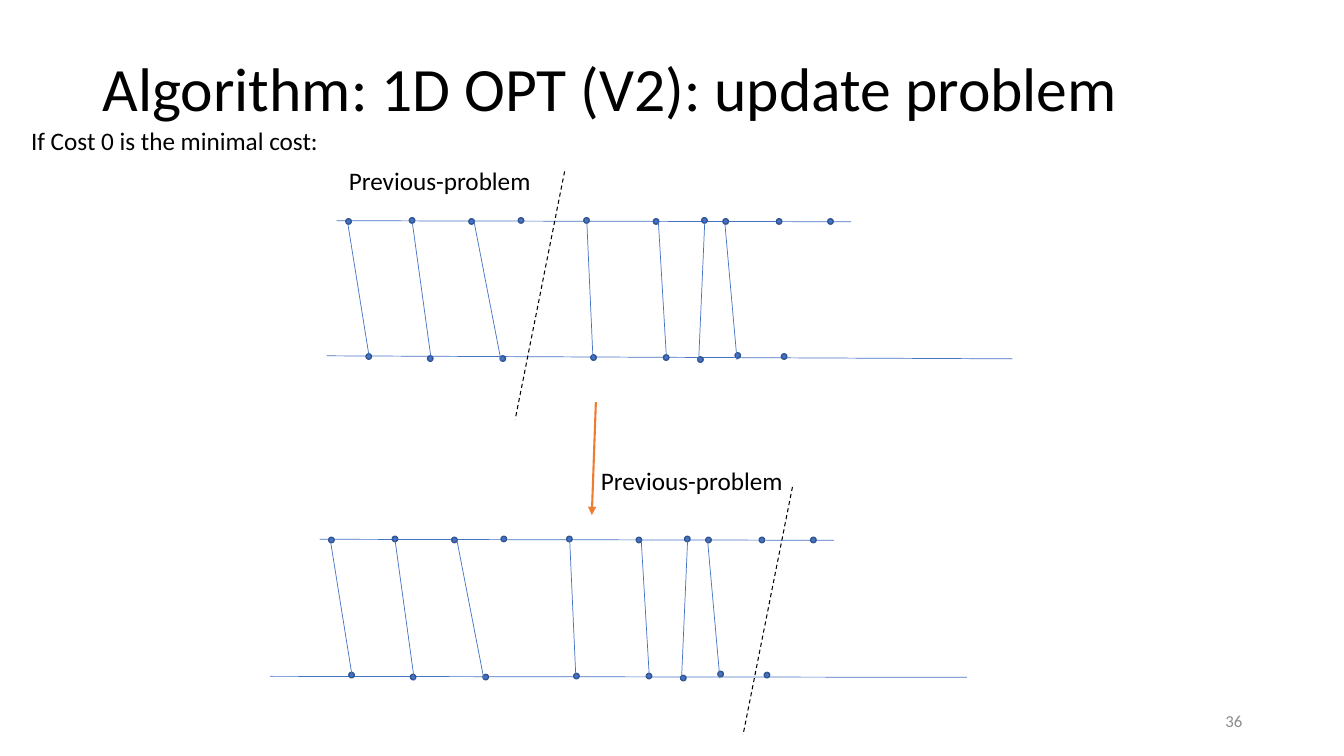
from lxml import etree
from pptx import Presentation
from pptx import util as u
from pptx.dml import color
from pptx.enum import dml, shapes, text
from pptx.oxml import ns

CELL = u.Inches(0.1)
BLUE, EDGE, ORANGE, BLACK, GREY = "4472C4", "325491", "ED7D31", "000000", "8C8C8C"
DOT_SIZE = 0.54
UPPER_DOTS = [(34.3, 21.7), (40.6, 21.6), (46.5, 21.7), (51.4, 21.6), (57.9, 21.6),
              (64.8, 21.7), (69.6, 21.6), (71.7, 21.7), (77, 21.7), (82.1, 21.7)]
LOWER_DOTS = [(36.3, 35.1), (42.4, 35.3), (49.6, 35.3), (58.6, 35.2), (65.8, 35.2),
              (69.2, 35.4), (72.9, 35), (77.5, 35.1)]
MATCHES = [((34.5, 22.2), (36.6, 35.3)), ((40.9, 22.1), (42.8, 35.9)),
           ((47, 21.9), (49.7, 35.8)), ((58.2, 21.9), (58.8, 35.3)),
           ((65.3, 22), (66.1, 35.5)), ((69.9, 22), (69.3, 35.7)),
           ((71.9, 22.2), (73.1, 35.7))]
UPPER_AXIS = ((33.4, 21.9), (84.4, 22))


def rgb(code):
    """Turn a hex string into a colour."""
    return color.RGBColor.from_string(code)


def grid(*cells):
    """Turn counts of grid cells into slide lengths."""
    return [u.Emu(round(count * CELL)) for count in cells]


def shift(point, offset):
    """Move a grid point by an offset."""
    return point[0] + offset[0], point[1] + offset[1]


def add_label(page, words, area, size, code=BLACK, inset=True, wrap=False,
              anchor=text.MSO_ANCHOR.TOP, align=text.PP_ALIGN.LEFT, spacing=1.0):
    """Write one paragraph in a text box."""
    frame = page.shapes.add_textbox(*grid(*area)).text_frame
    frame.word_wrap = wrap
    frame.vertical_anchor = anchor
    if not wrap:
        frame.auto_size = text.MSO_AUTO_SIZE.SHAPE_TO_FIT_TEXT
    if not inset:
        frame.margin_left = frame.margin_right = 0
        frame.margin_top = frame.margin_bottom = 0
    para = frame.paragraphs[0]
    para.text = words
    para.alignment = align
    para.line_spacing = spacing
    font = para.runs[0].font
    font.name, font.size = "Calibri", u.Pt(size)
    font.color.rgb = rgb(code)


def add_line(page, start, end, code=BLUE, width=0.5, dashed=False, arrow=False):
    """Draw a straight line between two grid points."""
    line = page.shapes.add_connector(
        shapes.MSO_CONNECTOR.STRAIGHT, *grid(*start, *end))
    line.line.color.rgb = rgb(code)
    line.line.width = u.Pt(width)
    if dashed:
        line.line.dash_style = dml.MSO_LINE.DASH
    if arrow:
        etree.SubElement(line.line._get_or_add_ln(), ns.qn("a:tailEnd"), type="triangle")
    etree.SubElement(line._element.spPr, ns.qn("a:effectLst"))


def add_dot(page, corner):
    """Draw a small point mark."""
    dot = page.shapes.add_shape(
        shapes.MSO_SHAPE.OVAL, *grid(*corner, DOT_SIZE, DOT_SIZE))
    dot.shadow.inherit = False
    dot.fill.solid()
    dot.fill.fore_color.rgb = rgb(BLUE)
    dot.line.color.rgb = rgb(EDGE)
    dot.line.width = u.Pt(1)


def add_matching(page, offset, lower_axis, divider):
    """Draw two point sets, their matches and the dividing line."""
    add_line(page, *(shift(point, offset) for point in UPPER_AXIS))
    add_line(page, *lower_axis)
    for corner in UPPER_DOTS + LOWER_DOTS:
        add_dot(page, shift(corner, offset))
    for match in MATCHES:
        add_line(page, *(shift(point, offset) for point in match))
    add_line(page, *divider, code=BLACK, width=0.75, dashed=True)


def main():
    """Build and save the slide."""
    deck = Presentation()
    deck.slide_width, deck.slide_height = u.Inches(13.33), u.Inches(7.5)
    page = deck.slides.add_slide(deck.slide_layouts[6])
    middle = text.MSO_ANCHOR.MIDDLE
    add_label(page, "Algorithm: 1D OPT (V2): update problem", (9.2, 4, 115, 10.1), 44,
              wrap=True, anchor=middle, spacing=0.9)
    add_label(page, "If Cost 0 is the minimal cost:", (2.1, 11.9, 31.4, 4), 18)
    add_matching(page, (0, 0), ((32.4, 35.3), (100.4, 35.6)), ((56, 17), (51.1, 41.6)))
    add_matching(page, (-1.7, 31.6), ((26.8, 67.1), (95.9, 67.2)),
                 ((78.6, 48.3), (73.7, 72.9)))
    for corner in ((34.6, 16.4), (59.6, 46.2)):
        add_label(page, "Previous-problem", (*corner, 18.2, 3), 18, inset=False)
    add_line(page, (59.1, 39.9), (58.7, 51.1), ORANGE, 1.5, arrow=True)
    add_label(page, "36", (94.2, 69.5, 30, 4), 12, GREY, wrap=True,
              anchor=middle, align=text.PP_ALIGN.RIGHT)
    deck.save("out.pptx")


if __name__ == "__main__":
    main()
